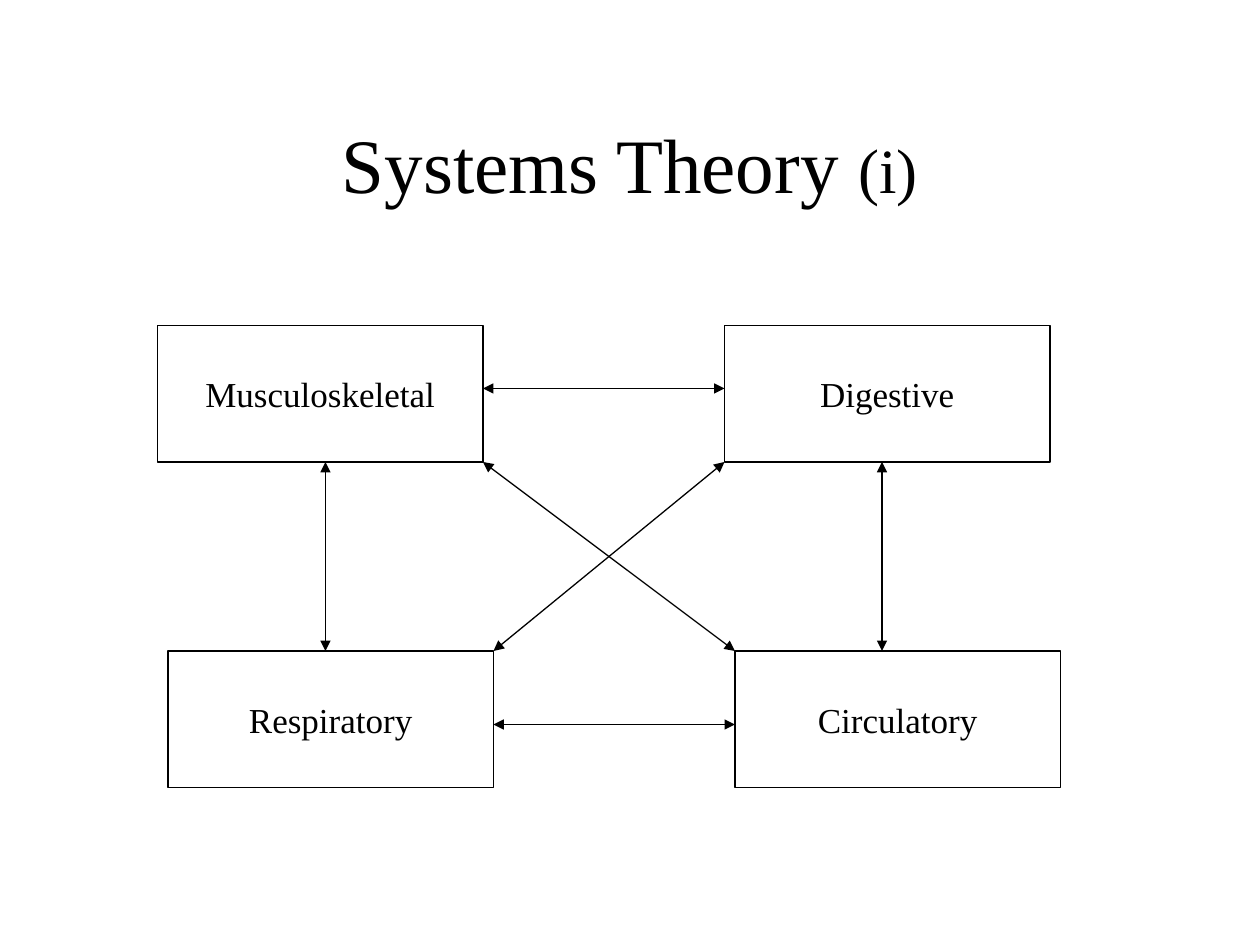
from pptx import Presentation
from pptx.dml.color import RGBColor
from pptx.enum.shapes import MSO_CONNECTOR, MSO_SHAPE
from pptx.enum.text import MSO_ANCHOR, PP_ALIGN
from pptx.oxml.ns import qn
from pptx.util import Pt
from lxml.etree import SubElement

BLACK = RGBColor(0, 0, 0)
WHITE = RGBColor(255, 255, 255)


def add_text(paragraph, text, *, size, font="Times New Roman", color=BLACK):
    run = paragraph.add_run()
    run.text = text
    run.font.size = Pt(size)
    run.font.name = font
    run.font.color.rgb = color


class Diagram:
    """Style of the slide and a method for each kind of element."""

    line_width = 0.75
    label_size = 20
    box_width, box_height = 186, 78

    def __init__(self, slide):
        self.slide = slide

    def title(self, left, top, width, height, parts):
        heading = self.slide.shapes.add_textbox(
            Pt(left), Pt(top), Pt(width), Pt(height))
        frame = heading.text_frame
        frame.word_wrap = True
        frame.vertical_anchor = MSO_ANCHOR.MIDDLE
        paragraph = frame.paragraphs[0]
        paragraph.alignment = PP_ALIGN.CENTER
        for text, size in parts:
            add_text(paragraph, text, size=size)

    def box(self, label, left, top):
        system = self.slide.shapes.add_shape(
            MSO_SHAPE.RECTANGLE, Pt(left), Pt(top),
            Pt(self.box_width), Pt(self.box_height))
        system.shadow.inherit = False
        system.fill.solid()
        system.fill.fore_color.rgb = WHITE
        system.line.color.rgb = BLACK
        system.line.width = Pt(self.line_width)
        frame = system.text_frame
        frame.word_wrap = False
        frame.vertical_anchor = MSO_ANCHOR.MIDDLE
        paragraph = frame.paragraphs[0]
        paragraph.alignment = PP_ALIGN.CENTER
        add_text(paragraph, label, size=self.label_size)

    def double_arrow(self, start, end):
        link = self.slide.shapes.add_connector(
            MSO_CONNECTOR.STRAIGHT, *map(Pt, start + end))
        link.line.color.rgb = BLACK
        link.line.width = Pt(self.line_width)
        outline = link.line._get_or_add_ln()
        for tip in ("a:headEnd", "a:tailEnd"):
            SubElement(outline, qn(tip), type="triangle")
        SubElement(link._element.spPr, qn("a:effectLst"))


def main():
    presentation = Presentation()
    presentation.slide_width, presentation.slide_height = Pt(720), Pt(540)
    diagram = Diagram(presentation.slides.add_slide(presentation.slide_layouts[6]))

    # Title
    diagram.title(54, 48, 612, 90, [("Systems Theory ", 44), ("(i)", 36)])

    # Body systems: the lower row sits slightly to the right
    upper_left, upper_right, upper_top = 90, 414, 186
    lower_left, lower_right, lower_top = 96, 420, 372
    diagram.box("Musculoskeletal", upper_left, upper_top)
    diagram.box("Respiratory", lower_left, lower_top)
    diagram.box("Digestive", upper_right, upper_top)
    diagram.box("Circulatory", lower_right, lower_top)

    upper_bottom = upper_top + diagram.box_height
    upper_inner = upper_left + diagram.box_width
    lower_inner = lower_left + diagram.box_width

    # Vertical links
    for x in (186, 504):
        diagram.double_arrow((x, upper_bottom), (x, lower_top))

    # Horizontal links
    diagram.double_arrow((upper_inner, 222), (upper_right, 222))
    diagram.double_arrow((lower_inner, 414), (lower_right, 414))

    # Diagonal links
    diagram.double_arrow((lower_inner, lower_top), (upper_right, upper_bottom))
    diagram.double_arrow((upper_inner, upper_bottom), (lower_right, lower_top))

    presentation.save("out.pptx")


if __name__ == "__main__":
    main()
